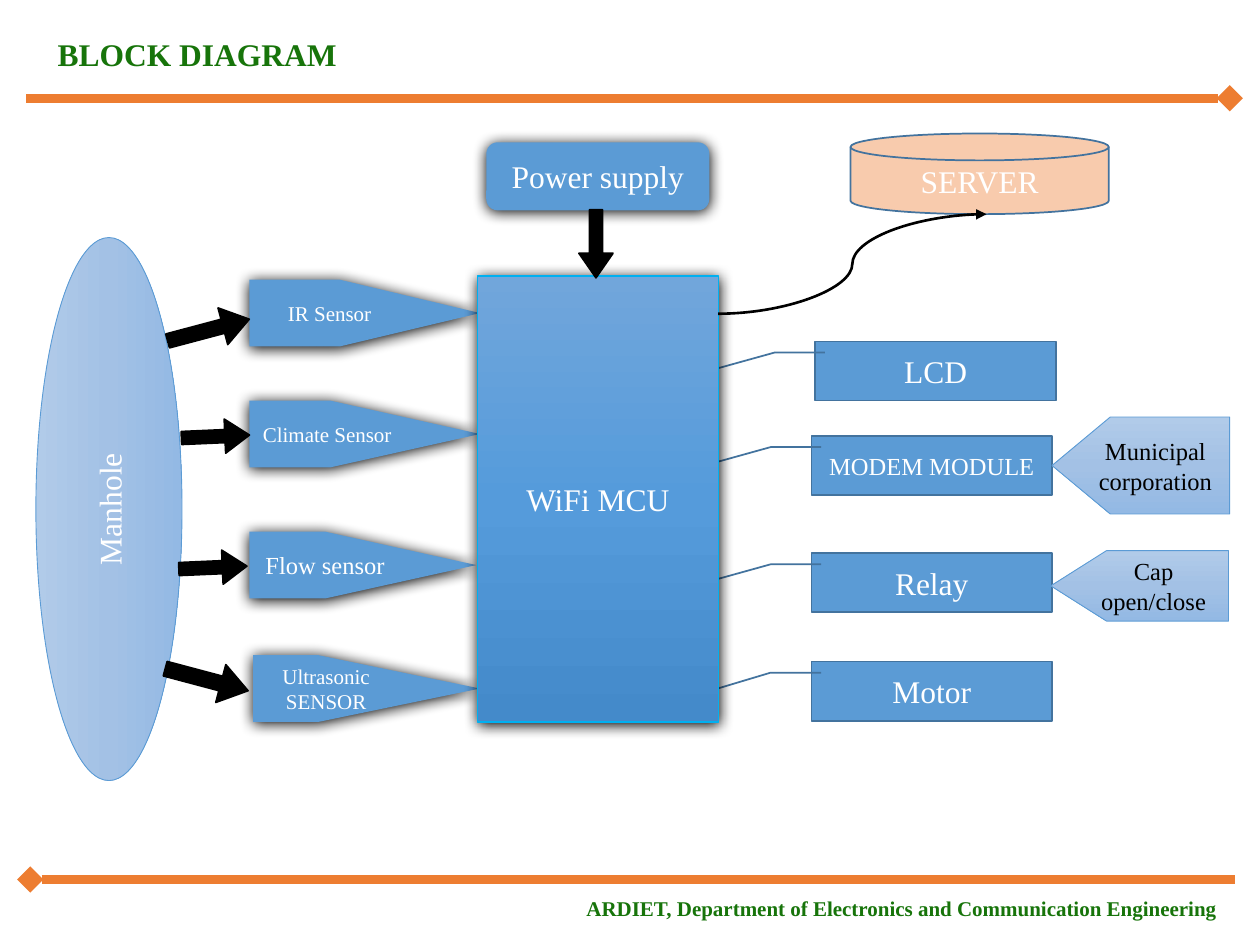
from dataclasses import dataclass
from lxml import etree
from pptx import Presentation
from pptx.dml.color import RGBColor
from pptx.enum.shapes import MSO_CONNECTOR, MSO_SHAPE
from pptx.enum.text import MSO_ANCHOR, MSO_AUTO_SIZE, PP_ALIGN
from pptx.oxml.ns import qn
from pptx.util import Inches, Pt

PLATE = MSO_SHAPE.PENTAGON
CALLOUT = MSO_SHAPE.LINE_CALLOUT_2
ARROW = MSO_SHAPE.RIGHT_ARROW
STRAIGHT, CURVE = MSO_CONNECTOR.STRAIGHT, MSO_CONNECTOR.CURVE
LEFT, CENTER, RIGHT = PP_ALIGN.LEFT, PP_ALIGN.CENTER, PP_ALIGN.RIGHT


@dataclass(frozen=True)
class Theme:
    font: str = "Times New Roman"
    large: int = 18
    medium: int = 14
    small: int = 12
    green: str = "17740A"
    orange: str = "ED7D31"
    blue: str = "5B9BD5"
    edge: str = "43739E"
    cyan: str = "00B0F0"
    peach: str = "F8CBAD"
    white: str = "FFFFFF"
    black: str = "000000"
    pale: tuple = ("B1CBE9", "A3C1E5", "93B9E4")
    deep: tuple = ("71A6DB", "559BDB", "448ACA")


theme = Theme()
presentation = Presentation()
presentation.slide_width = Inches(10)
presentation.slide_height = Inches(7.5)
slide = presentation.slides.add_slide(presentation.slide_layouts[6])
column = presentation.slide_width / 100
row = presentation.slide_height / 75


def write(shape, text, size, color, align=CENTER, bold=False):
    frame = shape.text_frame
    frame.word_wrap = True
    paragraph = frame.paragraphs[0]
    paragraph.alignment = align
    run = paragraph.add_run()
    run.text = text
    run.font.name = theme.font
    run.font.size = Pt(size)
    run.font.bold = bold
    run.font.color.rgb = RGBColor.from_string(color)


def block(kind, box, fill, line=None, width=1, adjust=(), shadow=False,
          text="", size=theme.large, color=theme.white, rotation=0, flip=False):
    left, top, wide, high = box
    shape = slide.shapes.add_shape(kind, int(left * column), int(top * row),
                                   int(wide * column), int(high * row))
    shape.rotation = rotation
    for index, value in enumerate(adjust):
        shape.adjustments[index] = value
    if flip:
        shape.element.spPr.find(qn("a:xfrm")).set("flipH", "1")
    if isinstance(fill, tuple):
        shape.fill.gradient()
        shape.fill.gradient_angle = 270
        stops = shape.element.spPr.find(".//" + qn("a:gsLst"))
        for stop in list(stops):
            stops.remove(stop)
        for index, tone in enumerate(fill):
            stop = etree.SubElement(stops, qn("a:gs"), pos=str(index * 50000))
            etree.SubElement(stop, qn("a:srgbClr"), val=tone)
    else:
        shape.fill.solid()
        shape.fill.fore_color.rgb = RGBColor.from_string(fill)
    if line:
        shape.line.color.rgb = RGBColor.from_string(line)
        shape.line.width = Pt(width)
    else:
        shape.line.fill.background()
    shape.shadow.inherit = False
    if shadow:
        effects = shape.element.spPr.find(qn("a:effectLst"))
        outer = etree.SubElement(effects, qn("a:outerShdw"), blurRad=str(Pt(8.5)),
                                 dist=str(Pt(1)), dir="5400000", rotWithShape="0")
        etree.SubElement(outer, qn("a:srgbClr"), val=theme.black)
    if text:
        shape.text_frame.vertical_anchor = MSO_ANCHOR.MIDDLE
        write(shape, text, size, color)


captions = [
    (3.6, 2.3, 49, 4, "BLOCK DIAGRAM", theme.large, LEFT),
    (5.1, 70.6, 92.5, 3, "ARDIET, Department of Electronics and Communication Engineering",
     theme.small, RIGHT),
]
for left, top, wide, high, text, size, align in captions:
    caption = slide.shapes.add_textbox(int(left * column), int(top * row),
                                       int(wide * column), int(high * row))
    caption.text_frame.auto_size = MSO_AUTO_SIZE.SHAPE_TO_FIT_TEXT
    write(caption, text, size, theme.green, align, True)

sensors = [
    (19.8, 22.2, 18.3, 2.1, "IR Sensor", theme.small),
    (19.8, 31.8, 18.3, 2.24, "Climate Sensor", theme.small),
    (19.8, 42.2, 18, 2.26, "Flow sensor", theme.medium),
    (20.1, 52, 18, 2.42, "Ultrasonic SENSOR", theme.small),
]
for left, top, wide, point, text, size in sensors:
    block(PLATE, (left, top, wide, 5.3), theme.blue, adjust=(point,),
          shadow=True, text=text, size=size)

block(MSO_SHAPE.FLOWCHART_ALTERNATE_PROCESS, (38.6, 11.3, 17.7, 5.4), theme.blue,
      shadow=True, text="Power supply")
block(MSO_SHAPE.FLOWCHART_MAGNETIC_DISK, (67.5, 10.6, 20.5, 6.4), theme.peach,
      theme.edge, text="SERVER")

outputs = [
    (64.7, 27.1, 0.46, -0.41, "LCD", theme.large),
    (64.4, 34.6, 0.46, -0.41, "MODEM MODULE", theme.medium),
    (64.4, 43.9, 0.46, -0.41, "Relay", theme.large),
    (64.4, 52.5, 0.64, -0.54, "Motor", theme.large),
]
for left, top, drop, reach, text, size in outputs:
    block(CALLOUT, (left, top, 19.1, 4.7), theme.blue, theme.edge,
          adjust=(0.19, 0.04, 0.19, -0.17, drop, reach), text=text, size=size)

block(MSO_SHAPE.RECTANGLE, (37.9, 21.9, 19.1, 35.4), theme.deep, theme.cyan, 0.75,
      shadow=True, text="WiFi MCU")
block(MSO_SHAPE.OVAL, (-12.9, 34.6, 43.1, 11.6), theme.pale, theme.blue, 0.5,
      text="Manhole", rotation=270)

actions = [
    (83.5, 33.1, 7.7, 0.6, "Municipal corporation"),
    (83.4, 43.7, 5.6, 0.79, "Cap open/close"),
]
for left, top, high, point, text in actions:
    block(PLATE, (left, top, 14.1, high), theme.pale, theme.blue, 0.5, (point,),
          text=text, size=theme.medium, color=theme.black, flip=True)

arrows = [
    (13.2, 24.7, 6.7, 3, 345.1),
    (14.4, 33.3, 5.4, 2.7, 357.5),
    (14.2, 43.7, 5.4, 2.7, 357.5),
    (13, 52.4, 6.8, 3.1, 14.9),
    (44.6, 18, 5.4, 2.7, 90),
]
for *box, rotation in arrows:
    block(ARROW, box, theme.black, theme.black, adjust=(0.38, 0.72), rotation=rotation)

lines = [
    (STRAIGHT, 2.1, 7.8, 97.6, 7.8, theme.orange, 5, "a:tailEnd", "diamond"),
    (STRAIGHT, 2.4, 69.8, 98, 69.8, theme.orange, 5, "a:headEnd", "diamond"),
    (CURVE, 57, 24.9, 78.3, 17, theme.black, 1.5, "a:tailEnd", "triangle"),
]
for kind, x1, y1, x2, y2, color, width, end, head in lines:
    connector = slide.shapes.add_connector(kind, int(x1 * column), int(y1 * row),
                                           int(x2 * column), int(y2 * row))
    connector.line.color.rgb = RGBColor.from_string(color)
    connector.line.width = Pt(width)
    etree.SubElement(connector.line._get_or_add_ln(), qn(end), type=head)
    etree.SubElement(connector._element.spPr, qn("a:effectLst"))

presentation.save("out.pptx")
